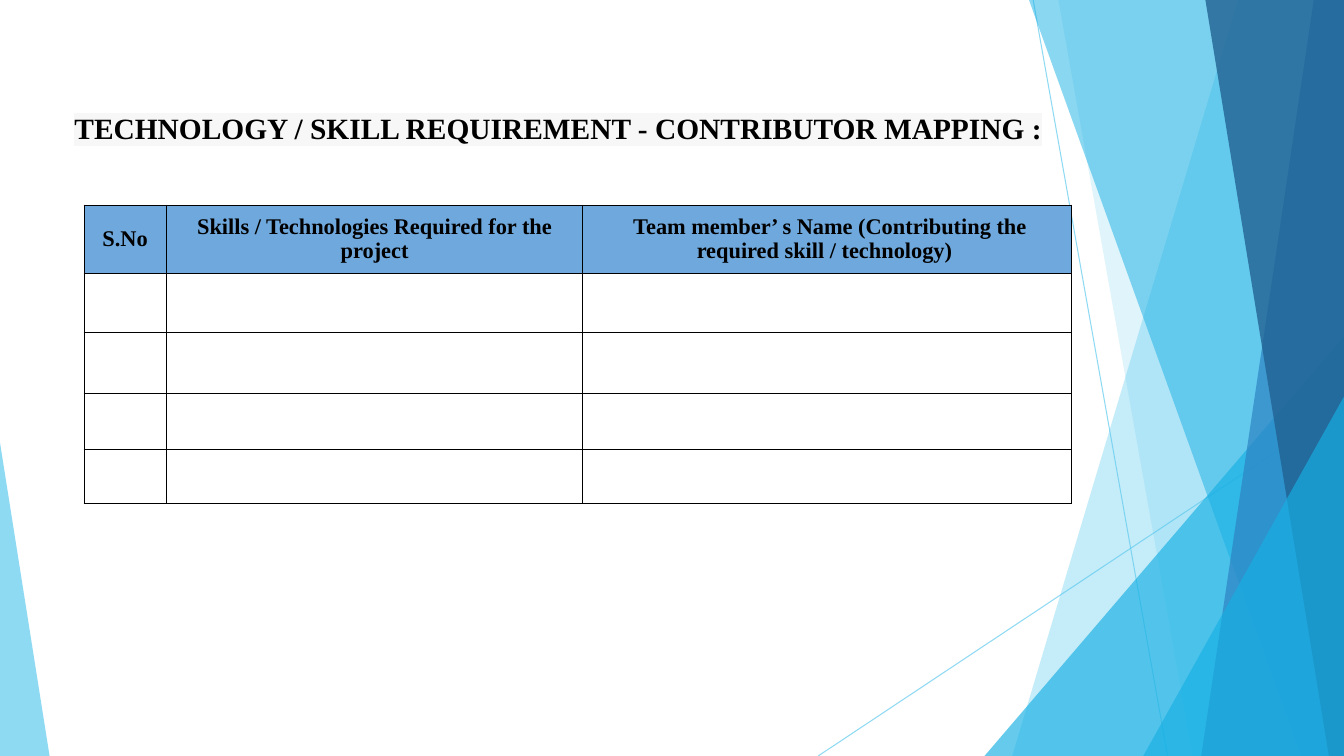
import pptx
import pptx.dml.color
import pptx.enum.shapes
import pptx.enum.text
import pptx.oxml
import pptx.oxml.ns
import pptx.util

COLORS = {
    "sky": "5FCBEF", "cyan": "17B0E4", "blue": "2E83C3", "navy": "226292",
    "header": "6FA8DC", "ink": "000000", "highlight": "F7F7F8",
}
FONT = "Times New Roman"
COLUMNS, ROWS = 16, 9  # square grid over the whole slide


def rgb(name):
    return pptx.dml.color.RGBColor.from_string(COLORS[name])


def add_xml(parent, tag, **attributes):
    child = pptx.oxml.parse_xml(f"<a:{tag} {pptx.oxml.ns.nsdecls('a')}/>")
    for key, value in attributes.items():
        child.set(key, str(value))
    parent.append(child)
    return child


class SlideBuilder:
    """Draws elements placed in columns and rows of the grid."""

    def __init__(self, deck):
        self.slide = deck.slides.add_slide(deck.slide_layouts[5])
        self.shapes = self.slide.shapes
        self.column = deck.slide_width / COLUMNS
        self.row = deck.slide_height / ROWS

    def x(self, columns):
        return round(columns * self.column)

    def y(self, rows):
        return round(rows * self.row)

    def box(self, left, top, width, height):
        return self.x(left), self.y(top), self.x(width), self.y(height)

    def tint(self, fill, color, opacity):
        fill.solid()
        fill.fore_color.rgb = rgb(color)
        for srgb in fill._xPr.iter(pptx.oxml.ns.qn("a:srgbClr")):
            add_xml(srgb, "alpha", val=opacity * 1000)

    def style_facet(self, facet, color, opacity):
        facet.shadow.inherit = False
        facet.line.fill.background()
        self.tint(facet.fill, color, opacity)

    def line(self, start, end):
        ray = self.shapes.add_connector(
            pptx.enum.shapes.MSO_CONNECTOR.STRAIGHT,
            self.x(start[0]), self.y(start[1]), self.x(end[0]), self.y(end[1]))
        ray.line.width = pptx.util.Pt(0.75)
        self.tint(ray.line.fill, "sky", 70)
        add_xml(ray._element.spPr, "effectLst")

    def band(self, top_left, bottom_left, color, opacity):
        """Full-height facet running to the right edge of the slide."""
        outline = self.shapes.build_freeform(self.x(top_left), 0)
        outline.add_line_segments([
            (self.x(COLUMNS), 0), (self.x(COLUMNS), self.y(ROWS)),
            (self.x(bottom_left), self.y(ROWS))])
        self.style_facet(outline.convert_to_shape(), color, opacity)

    def corner(self, left, top, width, apex, color, opacity):
        """Triangle standing on the bottom edge; apex 0 is left, 1 is right."""
        facet = self.shapes.add_shape(
            pptx.enum.shapes.MSO_SHAPE.ISOSCELES_TRIANGLE,
            *self.box(left, top, width, ROWS - top))
        facet.adjustments[0] = apex
        self.style_facet(facet, color, opacity)

    def style_text(self, paragraph, size):
        font = paragraph.font
        font.name, font.size, font.bold = FONT, pptx.util.Pt(size), True
        font.color.rgb = rgb("ink")

    def title(self, text, left, top, width, height):
        heading = self.shapes.title
        heading.left, heading.top, heading.width, heading.height = self.box(
            left, top, width, height)
        self.shapes._spTree.append(heading._element)  # in front of the facets
        frame = heading.text_frame
        frame.text = text
        frame.word_wrap = True
        frame.auto_size = pptx.enum.text.MSO_AUTO_SIZE.NONE
        frame.vertical_anchor = pptx.enum.text.MSO_ANCHOR.TOP
        frame.margin_left = frame.margin_right = pptx.util.Inches(0.13)
        frame.margin_top = pptx.util.Inches(0.61)
        paragraph = frame.paragraphs[0]
        paragraph.alignment = pptx.enum.text.PP_ALIGN.LEFT
        self.style_text(paragraph, 21)
        marker = add_xml(paragraph.runs[0]._r.get_or_add_rPr(), "highlight")
        add_xml(marker, "srgbClr", val=COLORS["highlight"])

    def border(self, cell):
        properties = cell._tc.get_or_add_tcPr()
        for side in ("lnL", "lnR", "lnT", "lnB"):
            edge = add_xml(properties, side, w=pptx.util.Pt(0.75))
            add_xml(add_xml(edge, "solidFill"), "srgbClr", val=COLORS["ink"])

    def header_cell(self, cell, text):
        cell.text = text
        cell.fill.solid()
        cell.fill.fore_color.rgb = rgb("header")
        cell.vertical_anchor = pptx.enum.text.MSO_ANCHOR.MIDDLE
        cell.margin_left = cell.margin_right = pptx.util.Inches(0.1)
        cell.margin_top = cell.margin_bottom = pptx.util.Inches(0.1)
        paragraph = cell.text_frame.paragraphs[0]
        paragraph.alignment = pptx.enum.text.PP_ALIGN.CENTER
        paragraph.line_spacing = 0.95
        self.style_text(paragraph, 16)

    def table(self, headings, left, top, widths, heights):
        grid = self.shapes.add_table(
            len(heights), len(widths),
            *self.box(left, top, sum(widths), sum(heights))).table
        for column, width in zip(grid.columns, widths):
            column.width = self.x(width)
        for row, height in zip(grid.rows, heights):
            row.height = self.y(height)
        for cell in grid.iter_cells():
            self.border(cell)
            cell.fill.background()
        for cell, heading in zip(grid.rows[0].cells, headings):
            self.header_cell(cell, heading)


def main():
    deck = pptx.Presentation()
    deck.slide_width = pptx.util.Inches(13.33)
    deck.slide_height = pptx.util.Inches(7.5)
    page = SlideBuilder(deck)

    # Faceted backdrop, from back to front
    page.line((12.3, 0), (13.9, ROWS))
    page.line((COLUMNS, 4.84), (9.74, ROWS))
    page.band(14.74, 12.05, "sky", 36)
    page.band(12.6, 14.2, "sky", 20)
    page.corner(11.72, 4, 4.28, 1, "cyan", 66)
    page.band(12.25, 15.49, "cyan", 50)
    page.band(15.64, 14.3, "blue", 70)
    page.band(14.35, 15.82, "navy", 80)
    page.corner(13.61, 4.72, 2.39, 1, "cyan", 66)
    page.corner(0, 5.27, 0.59, 0, "sky", 70)

    # Heading
    page.title("TECHNOLOGY / SKILL REQUIREMENT - CONTRIBUTOR MAPPING :",
               0.73, 0.58, 14.9, 1.63)

    # Skills and contributors
    page.table(
        ["S.No", "Skills / Technologies Required for the project",
         " Team member’ s Name (Contributing the required skill / technology) "],
        1, 2.44, widths=[0.98, 4.96, 5.82],
        heights=[0.82, 0.7, 0.73, 0.66, 0.64])

    deck.save("out.pptx")


if __name__ == "__main__":
    main()
